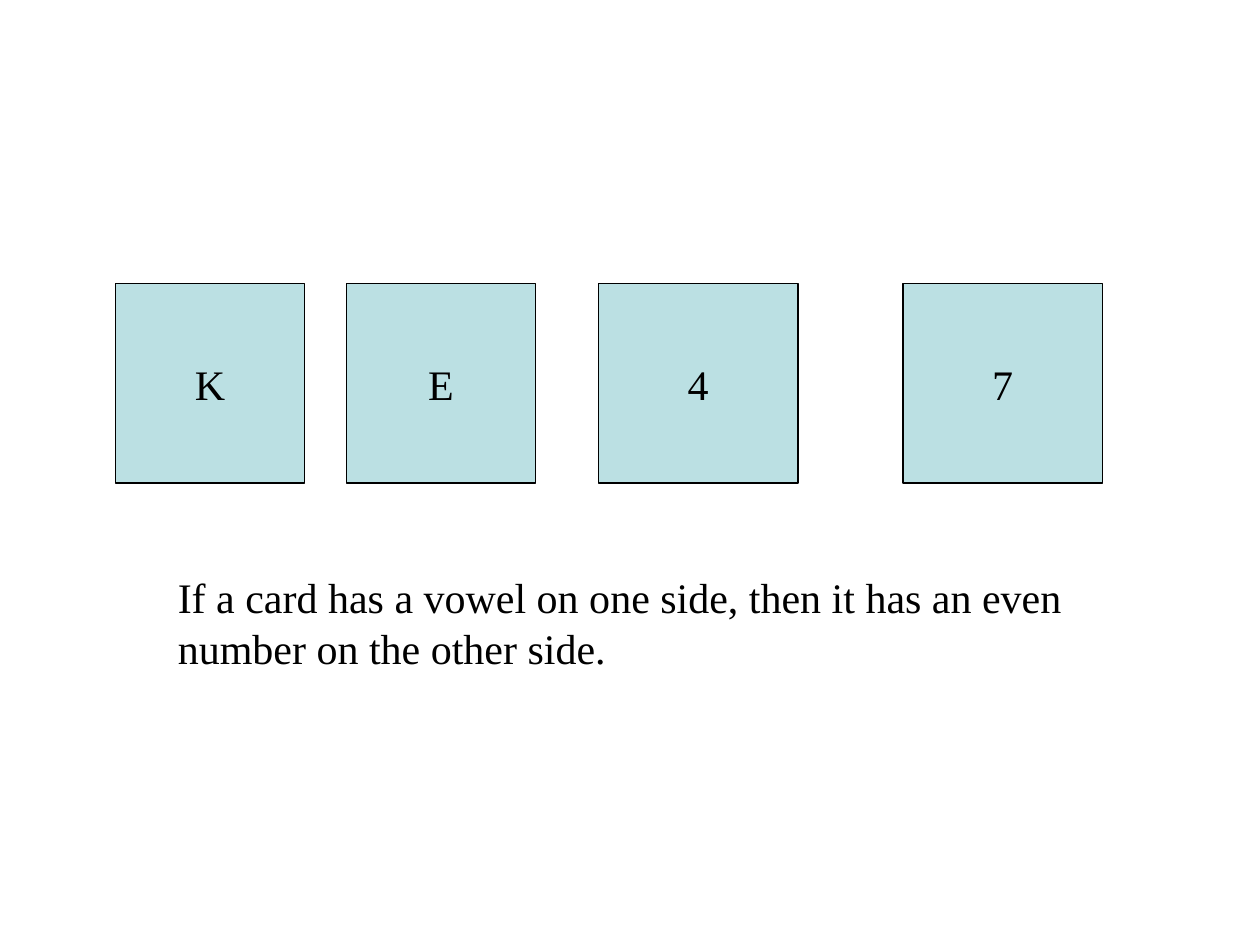
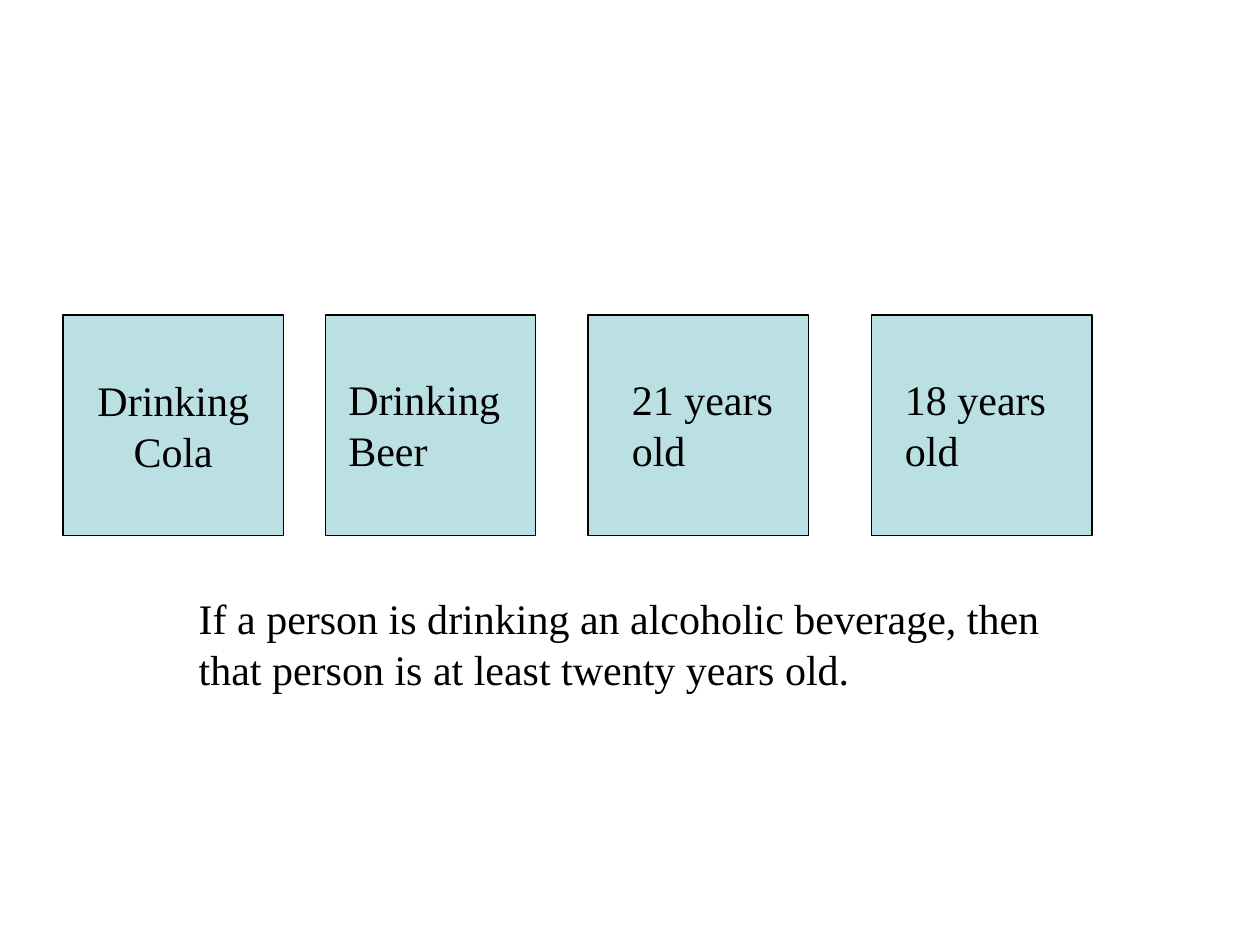
import pptx
import pptx.util
import pptx.dml.color
import pptx.enum.shapes
import pptx.enum.text

PX = 9525
COLORS = {"card": "BBE0E3", "ink": "000000"}
FONT = "Times New Roman"
FONT_SIZE = 24
LABEL_HEIGHT = 86


def px(*lengths):
    return [pptx.util.Emu(length * PX) for length in lengths]


def color(name):
    return pptx.dml.color.RGBColor.from_string(COLORS[name])


def write_lines(tf, lines, align):
    tf.word_wrap = False
    for i, line in enumerate(lines):
        p = tf.add_paragraph() if i else tf.paragraphs[0]
        p.text = line
        p.alignment = align
        p.font.name = FONT
        p.font.size = pptx.util.Pt(FONT_SIZE)
        p.font.color.rgb = color("ink")


def add_card(slide, left, top, width, height, lines=()):
    sp = slide.shapes.add_shape(
        pptx.enum.shapes.MSO_SHAPE.RECTANGLE, *px(left, top, width, height))
    sp.shadow.inherit = False
    sp.fill.solid()
    sp.fill.fore_color.rgb = color("card")
    sp.line.color.rgb = color("ink")
    sp.line.width = pptx.util.Pt(0.75)
    sp.text_frame.vertical_anchor = pptx.enum.text.MSO_ANCHOR.MIDDLE
    write_lines(sp.text_frame, lines, pptx.enum.text.PP_ALIGN.CENTER)


def add_label(slide, left, top, width, lines):
    sp = slide.shapes.add_textbox(*px(left, top, width, LABEL_HEIGHT))
    write_lines(sp.text_frame, lines, pptx.enum.text.PP_ALIGN.LEFT)
    sp.text_frame.auto_size = pptx.enum.text.MSO_AUTO_SIZE.SHAPE_TO_FIT_TEXT


def add_letter_slide(prs):
    slide = prs.slides.add_slide(prs.slide_layouts[6])
    for left, width, face in [(88, 144, "K"), (264, 144, "E"),
                              (456, 152, "4"), (688, 152, "7")]:
        add_card(slide, left, 216, width, 152, [face])
    add_label(slide, 126, 431, 696, [
        "If a card has a vowel on one side, then it has an even",
        "number on the other side."])


def add_drinking_slide(prs):
    slide = prs.slides.add_slide(prs.slide_layouts[6])
    add_card(slide, 48, 240, 168, 168, ["Drinking", "Cola"])
    for left, width in [(248, 160), (448, 168), (664, 168)]:
        add_card(slide, left, 240, width, 168)
    for left, width, lines in [(256, 138, ["Drinking", "Beer"]),
                               (472, 130, ["21 years", "old"]),
                               (680, 130, ["18 years", "old"])]:
        add_label(slide, left, 280, width, lines)
    add_label(slide, 142, 447, 664, [
        "If a person is drinking an alcoholic beverage, then",
        "that person is at least twenty years old."])


def main():
    prs = pptx.Presentation()
    prs.slide_width, prs.slide_height = px(960, 720)
    add_letter_slide(prs)
    add_drinking_slide(prs)
    prs.save("out.pptx")


if __name__ == "__main__":
    main()
